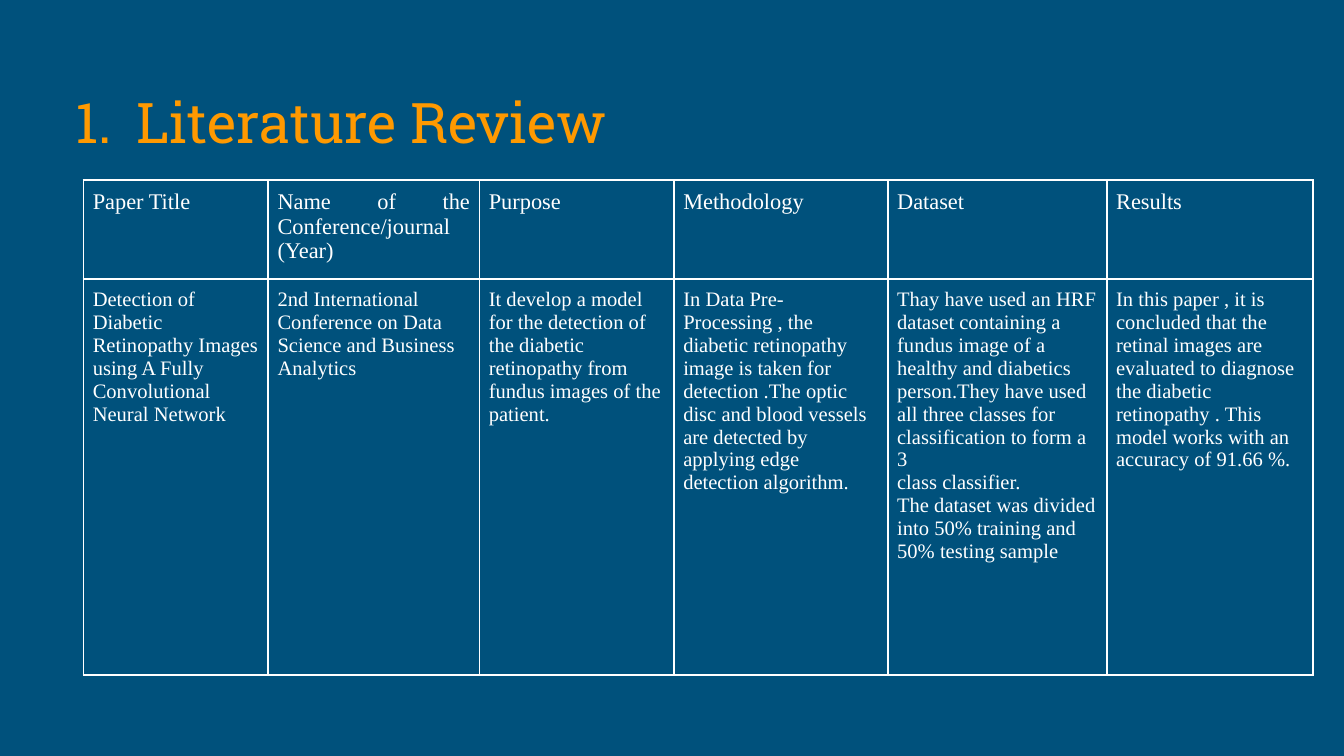
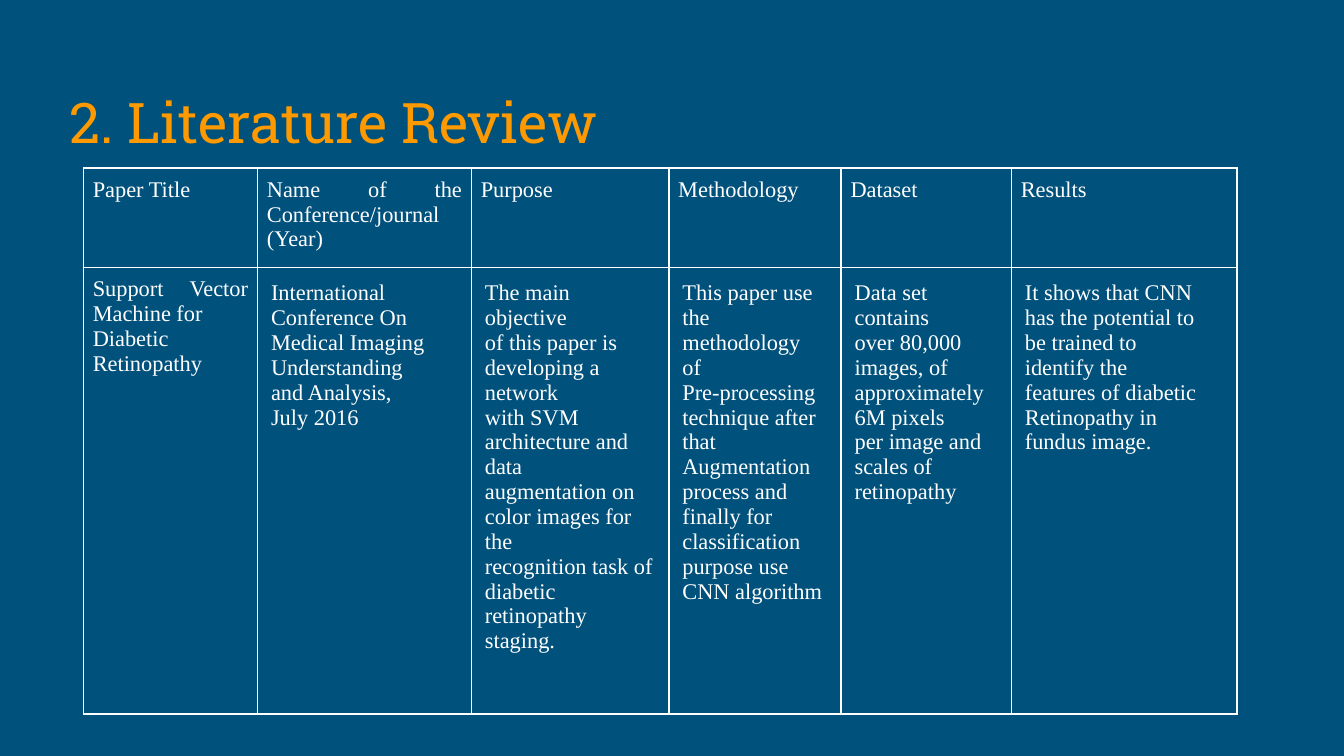
from dataclasses import dataclass

from pptx import Presentation
from pptx.dml.color import RGBColor
from pptx.enum.text import MSO_ANCHOR, PP_ALIGN
from pptx.oxml.ns import qn
from pptx.util import Pt
from lxml.etree import SubElement


@dataclass(frozen=True)
class Theme:
    background: str = "00517C"
    accent: str = "FF9900"
    light: str = "FFFFFF"
    title_font: str = "Roboto Slab"
    body_font: str = "Times New Roman"
    title_size: float = 30
    header_size: float = 12
    small_size: float = 11
    border_width: float = 1


THEME = Theme()
TITLE_BOX = (30.2, 36, 659, 54)
NARROW, WIDE = 5, 7.2  # cell margins
HEADERS = [
    "Paper Title",
    "Name of the Conference/journal (Year)",
    "Purpose",
    "Methodology",
    "Dataset",
    "Results",
]

REVIEWS = [
    {
        "title": "Literature Review",
        "numbered": True,
        "origin": (44.7, 96.4),
        "columns": [99, 113.2, 104.2, 114.6, 117.3, 110.6],
        "rows": [53, 212.1],
        "body_size": THEME.small_size,
        "body_margin": NARROW,
        "first_align": PP_ALIGN.LEFT,
        "body": [
            "Detection of Diabetic Retinopathy Images using A Fully Convolutional Neural Network",
            "2nd International Conference on Data Science and Business Analytics",
            "It develop a model for the detection of the diabetic retinopathy from "
            "fundus images of the patient.",
            "In Data Pre-Processing , the diabetic retinopathy image is taken for detection "
            ".The optic disc and blood vessels are detected by applying edge detection algorithm.",
            """Thay have used an HRF
dataset containing a
fundus image of a
healthy and diabetics
person.They have used
all three classes for
classification to form a 3
class classifier.
The dataset was divided
into 50% training and
50% testing sample""",
            "In this paper , it is concluded that the retinal images are evaluated to diagnose "
            "the diabetic retinopathy . This model works with an accuracy of 91.66 %.",
        ],
    },
    {
        "title": "2. Literature Review",
        "numbered": False,
        "origin": (44.7, 90),
        "columns": [93.3, 114.6, 105.8, 92.3, 91.2, 121],
        "rows": [49.2, 239.2],
        "body_size": THEME.header_size,
        "body_margin": WIDE,
        "first_align": PP_ALIGN.JUSTIFY,
        "body": [
            "Support Vector Machine for\nDiabetic\nRetinopathy",
            """International
Conference On
Medical Imaging
Understanding
and Analysis,
July 2016""",
            """The main objective
of this paper is
developing a network
with SVM architecture and data
augmentation on
color images for the
recognition task of
diabetic retinopathy
staging.""",
            """This paper use
the methodology
of
Pre-processing
technique after
that
Augmentation
process and
finally for
classification
purpose use
CNN algorithm""",
            """Data set contains
over 80,000 images, of
approximately 6M pixels
per image and scales of
retinopathy""",
            """It shows that CNN
has the potential to
be trained to
identify the
features of diabetic
Retinopathy in
fundus image.""",
        ],
    },
]


def write_text(text_frame, text, *, size, font=THEME.body_font, color=THEME.light,
               align=PP_ALIGN.LEFT):
    """Write one paragraph per line of text."""
    text_frame.word_wrap = True
    for index, line in enumerate(text.split("\n")):
        paragraph = text_frame.paragraphs[0] if index == 0 else text_frame.add_paragraph()
        paragraph.alignment = align
        run = paragraph.add_run()
        run.text = line
        run.font.name = font
        run.font.size = Pt(size)
        run.font.bold = False
        run.font.color.rgb = RGBColor.from_string(color)


def number_paragraph(paragraph):
    """Turn a paragraph into an automatically numbered item."""
    properties = paragraph._p.get_or_add_pPr()
    properties.set("marL", str(Pt(36)))
    properties.set("indent", str(-Pt(33)))
    color = SubElement(properties, qn("a:buClr"))
    SubElement(color, qn("a:srgbClr"), val=THEME.accent)
    SubElement(properties, qn("a:buFont"), typeface=THEME.title_font)
    SubElement(properties, qn("a:buAutoNum"), type="arabicPeriod")


def add_title(slide, box, text, numbered):
    text_frame = slide.shapes.add_textbox(*map(Pt, box)).text_frame
    text_frame.vertical_anchor = MSO_ANCHOR.BOTTOM
    text_frame.margin_left = text_frame.margin_right = Pt(WIDE)
    text_frame.margin_top = text_frame.margin_bottom = Pt(WIDE)
    write_text(text_frame, text, size=THEME.title_size, font=THEME.title_font,
               color=THEME.accent)
    if numbered:
        number_paragraph(text_frame.paragraphs[0])


def draw_borders(cell):
    properties = cell._tc.get_or_add_tcPr()
    for side in ("lnL", "lnR", "lnT", "lnB"):
        line = SubElement(properties, qn(f"a:{side}"), w=str(Pt(THEME.border_width)))
        fill = SubElement(line, qn("a:solidFill"))
        SubElement(fill, qn("a:srgbClr"), val=THEME.light)


def fill_cell(cell, text, margin, **text_format):
    cell.margin_left = cell.margin_right = Pt(margin)
    cell.margin_top = cell.margin_bottom = Pt(margin)
    draw_borders(cell)
    cell.fill.background()
    write_text(cell.text_frame, text, **text_format)


def add_review_table(slide, origin, review):
    columns, rows = review["columns"], review["rows"]
    box = (*origin, sum(columns), sum(rows))
    table = slide.shapes.add_table(len(rows), len(columns), *map(Pt, box)).table
    table.first_row = table.horz_banding = False
    for row, height in zip(table.rows, rows):
        row.height = Pt(height)

    for index, width in enumerate(columns):
        table.columns[index].width = Pt(width)
        # Header row
        fill_cell(table.cell(0, index), HEADERS[index], NARROW,
                  size=THEME.header_size, align=PP_ALIGN.JUSTIFY)
        # Paper details; the first column has its own margin and alignment
        first = index == 0
        fill_cell(table.cell(1, index), review["body"][index],
                  NARROW if first else review["body_margin"],
                  size=review["body_size"],
                  align=review["first_align"] if first else PP_ALIGN.LEFT)


def add_review_slide(presentation, review):
    slide = presentation.slides.add_slide(presentation.slide_layouts[6])
    background = slide.background.fill
    background.solid()
    background.fore_color.rgb = RGBColor.from_string(THEME.background)
    add_title(slide, TITLE_BOX, review["title"], review["numbered"])
    add_review_table(slide, review["origin"], review)


def main():
    presentation = Presentation()
    presentation.slide_width, presentation.slide_height = Pt(720), Pt(405)
    for review in REVIEWS:
        add_review_slide(presentation, review)
    presentation.save("out.pptx")


if __name__ == "__main__":
    main()
